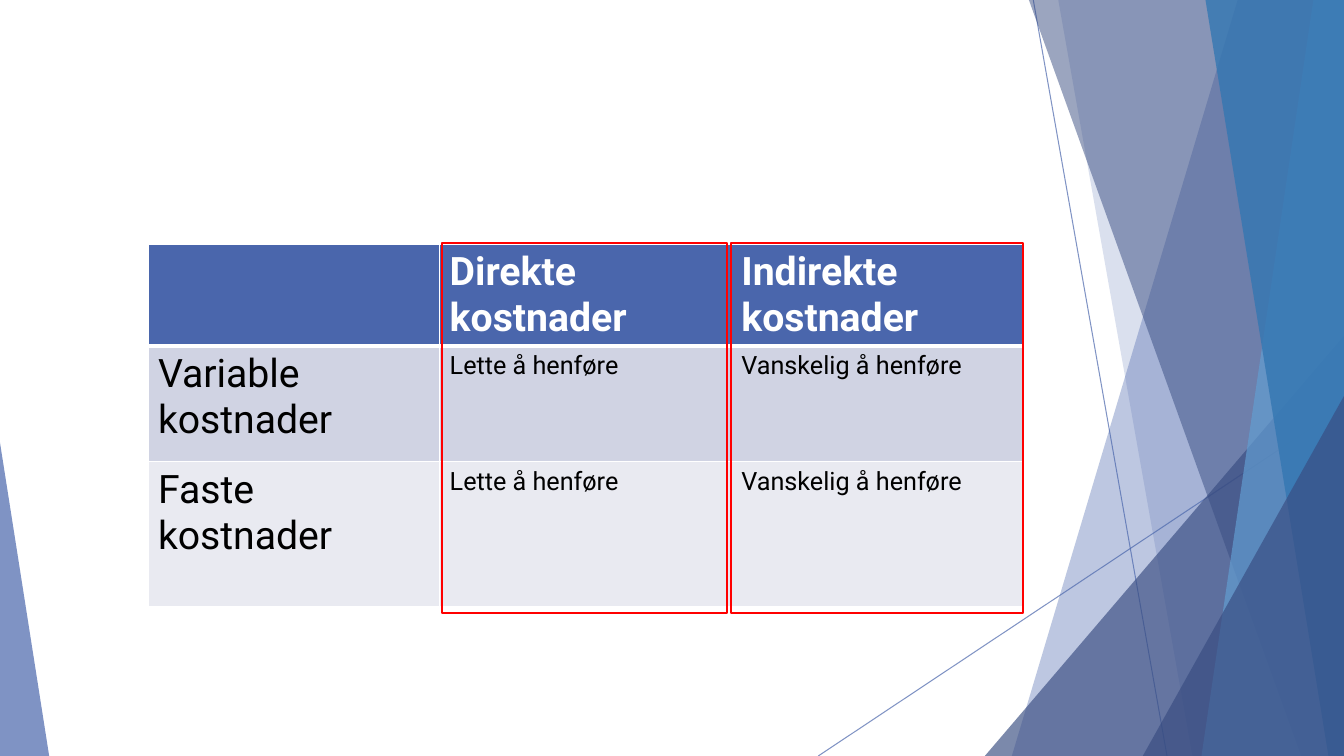
"""Build a slide with a cost table, two red frames and a faceted blue backdrop."""
from lxml import etree
from pptx import Presentation
from pptx.dml.color import RGBColor
from pptx.enum import shapes
from pptx.oxml import ns
from pptx.util import Cm, Pt

WIDTH, HEIGHT = 33.87, 19.05
BLUE, NAVY, SKY, OCEAN = "4A66AC", "384C81", "629DD1", "3477B2"


def paint(fill, color, opacity=100):
    fill.solid()
    fill.fore_color.rgb = RGBColor.from_string(color)
    if opacity < 100:
        for value in fill._xPr.iter(ns.qn("a:srgbClr")):
            etree.SubElement(value, ns.qn("a:alpha"), val=str(opacity * 1000))


deck = Presentation()
deck.slide_width, deck.slide_height = Cm(WIDTH), Cm(HEIGHT)
page = deck.slides.add_slide(deck.slide_layouts[6])

for start_x, start_y, end_x in [(26.04, 0, 29.41), (33.87, 10.24, 20.62)]:
    line = page.shapes.add_connector(
        shapes.MSO_CONNECTOR.STRAIGHT, Cm(start_x), Cm(start_y), Cm(end_x), Cm(HEIGHT))
    line.line.width = Pt(0.75)
    paint(line.line.fill, BLUE, 70)
    etree.SubElement(line._element.spPr, ns.qn("a:effectLst"))

# Bands give top and bottom x; triangles give left, top, width and apex.
facets = [
    ("band", (31.19, 25.5), BLUE, 36),
    ("band", (26.67, 30.05), BLUE, 20),
    ("triangle", (24.82, 8.46, 9.05, 1), NAVY, 66),
    ("band", (25.93, 32.79), NAVY, 50),
    ("band", (33.1, 30.28), SKY, 70),
    ("band", (30.38, 33.48), OCEAN, 80),
    ("triangle", (28.8, 9.98, 5.07, 1), NAVY, 66),
    ("triangle", (0, 11.15, 1.24, 0), BLUE, 70),
]
for kind, place, color, opacity in facets:
    if kind == "band":
        top_x, bottom_x = place
        outline = page.shapes.build_freeform(Cm(top_x), Cm(0))
        outline.add_line_segments([
            (Cm(WIDTH), Cm(0)), (Cm(WIDTH), Cm(HEIGHT)), (Cm(bottom_x), Cm(HEIGHT))])
        facet = outline.convert_to_shape()
    else:
        left, top, width, apex = place
        facet = page.shapes.add_shape(
            shapes.MSO_SHAPE.ISOSCELES_TRIANGLE,
            Cm(left), Cm(top), Cm(width), Cm(HEIGHT - top))
        facet.adjustments[0] = apex
    facet.shadow.inherit = False
    facet.line.fill.background()
    paint(facet.fill, color, opacity)

rows = [
    (2.54, BLUE, ["", "Direkte kostnader", "Indirekte kostnader"]),
    (2.92, "D0D3E3", ["Variable kostnader", "Lette å henføre", "Vanskelig å henføre"]),
    (3.64, "E9EAF1", ["Faste kostnader", "Lette å henføre", "Vanskelig å henføre"]),
]
table = page.shapes.add_table(
    3, 3, Cm(3.73), Cm(6.15), Cm(22.05), Cm(9.1)).table
for column in table.columns:
    column.width = Cm(7.35)
for row, (height, color, words) in enumerate(rows):
    table.rows[row].height = Cm(height)
    for column, word in enumerate(words):
        cell = table.cell(row, column)
        header = row == 0
        properties = cell._tc.get_or_add_tcPr()
        for side in "LRTB":
            thick = (header and side == "B") or (row == 1 and side == "T")
            border = etree.SubElement(
                properties, ns.qn(f"a:ln{side}"), w=str(Pt(3 if thick else 1)))
            solid = etree.SubElement(border, ns.qn("a:solidFill"))
            etree.SubElement(solid, ns.qn("a:srgbClr"), val="FFFFFF")
        paint(cell.fill, color)
        cell.text = word
        font = cell.text_frame.paragraphs[0].font
        font.name = "Roboto"
        font.size = Pt(28 if header or column == 0 else 18)
        font.bold = header
        paint(font.fill, "FFFFFF" if header else "000000")

for left, width in [(11.13, 7.19), (18.42, 7.37)]:
    frame = page.shapes.add_shape(
        shapes.MSO_SHAPE.RECTANGLE, Cm(left), Cm(6.12), Cm(width), Cm(9.32))
    frame.shadow.inherit = False
    frame.fill.background()
    frame.line.width = Pt(1.5)
    paint(frame.line.fill, "FF0000")

deck.save("out.pptx")
